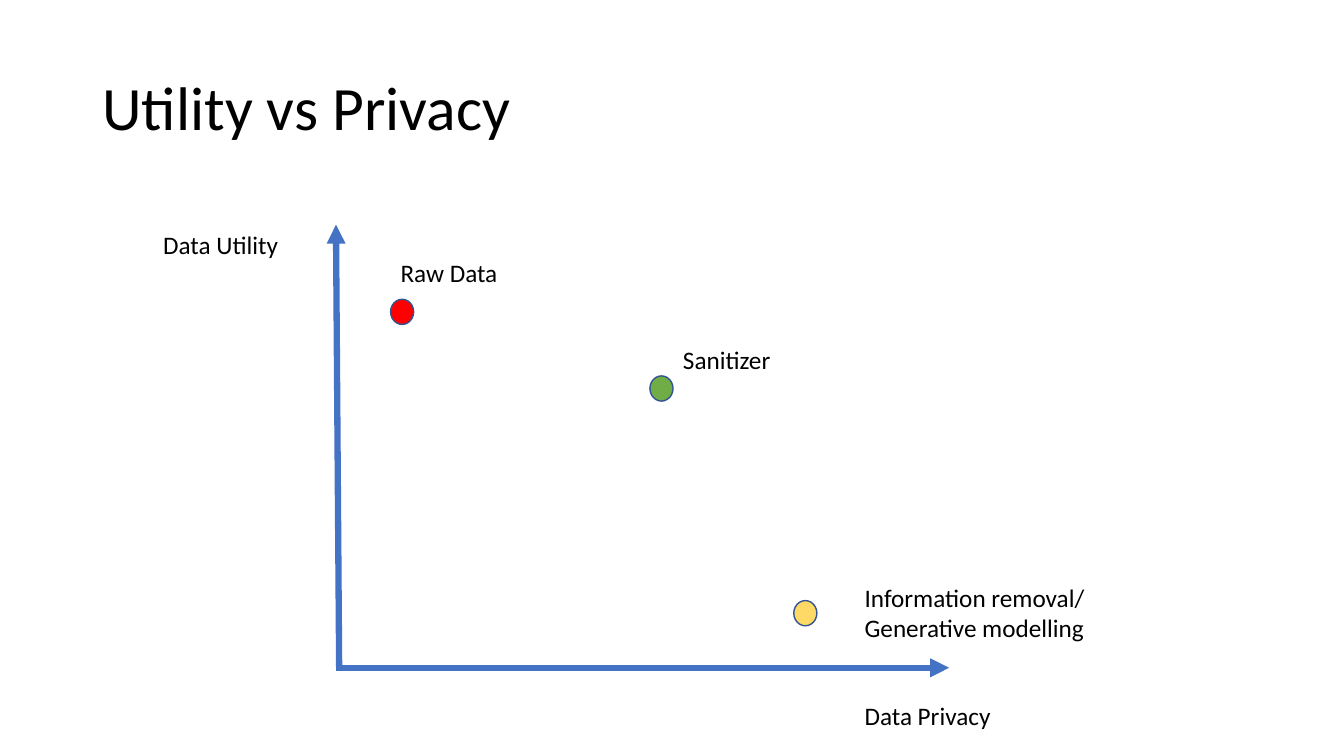
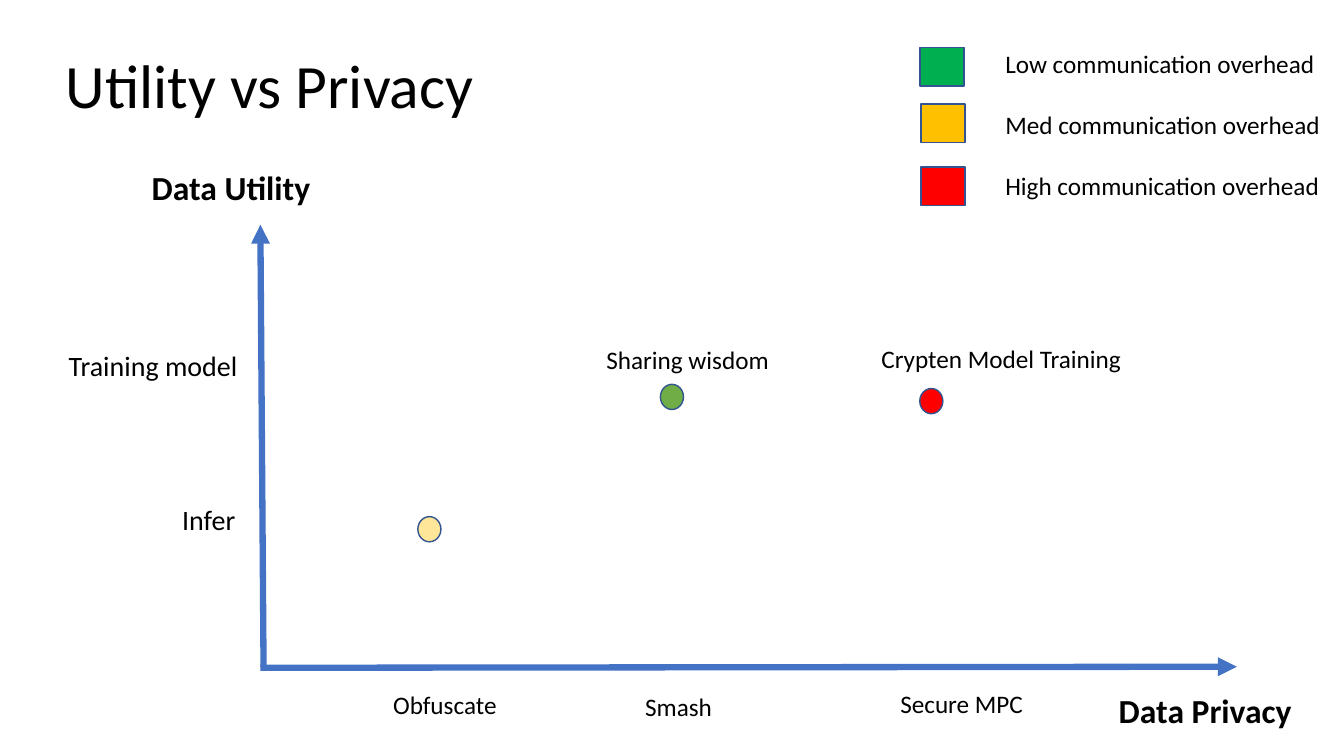
from lxml import etree
from pptx import Presentation
from pptx.dml.color import RGBColor
from pptx.enum.shapes import MSO_CONNECTOR, MSO_SHAPE
from pptx.enum.text import MSO_ANCHOR, PP_ALIGN
from pptx.oxml.ns import qn
from pptx.util import Emu, Pt

PX = 9525  # EMU, 96 px to the inch
STRAIGHT = MSO_CONNECTOR.STRAIGHT
ELLIPSE, RECTANGLE = MSO_SHAPE.OVAL, MSO_SHAPE.RECTANGLE
LEFT, MIDDLE = PP_ALIGN.LEFT, MSO_ANCHOR.MIDDLE

FONT = "Calibri"
BLACK, AXIS_BLUE, OUTLINE = "000000", "4472C4", "325491"
RED, DOT_GREEN = "FF0000", "70AD47"
TITLE_SIZE = (1104, 139)
DOT_SIZE = (22, 24)
SWATCH_SIZE = (42, 37)
LABEL_HEIGHTS = {18: 38, 20: 42, 24: 48}
LEGEND_TEXT_LEFT, LEGEND_TEXT_TOP, LEGEND_PITCH = 948, 41, 58
LEGEND_TEXT_WIDTH = 332

# Axes: start and end points. Dots: left, top, colour.
# Labels: text, left, top, width, point size, bold.
# Legend: swatch left, swatch top, colour, text.
CHARTS = [
    {
        "title_at": (88, 36),
        "axes": [(320, 636, 904, 636), (323, 635, 320, 214)],
        "dots": [
            (619, 358, DOT_GREEN),
            (756, 572, "FFD966"),
            (372, 285, RED),
        ],
        "labels": [
            ("Data Privacy", 814, 662, 258, 18, False),
            ("Data Utility", 146, 214, 178, 18, False),
            ("Sanitizer", 641, 323, 229, 18, False),
            ("Information removal/ Generative modelling", 814, 550, 286, 18, False),
            ("Raw Data", 372, 240, 229, 18, False),
        ],
        "legend": [],
    },
    {
        "title_at": (53, 15),
        "axes": [(248, 636, 1178, 635), (251, 635, 248, 214)],
        "dots": [
            (629, 366, DOT_GREEN),
            (876, 370, RED),
            (398, 492, "FFE699"),
        ],
        "labels": [
            ("Data Privacy", 1056, 652, 203, 24, True),
            ("Data Utility", 135, 154, 229, 24, True),
            ("Sharing wisdom", 568, 323, 229, 18, False),
            ("Crypten Model Training", 830, 322, 286, 18, False),
            ("Infer", 164, 474, 83, 20, False),
            ("Training model", 56, 327, 193, 20, False),
            ("Obfuscate", 365, 652, 144, 18, False),
            ("Secure MPC", 848, 651, 144, 18, False),
            ("Smash", 605, 654, 144, 18, False),
        ],
        "legend": [
            (876, 45, "00B050", "Low communication overhead"),
            (877, 99, "FFC000", "Med communication overhead"),
            (877, 159, RED, "High communication overhead"),
        ],
    },
]


def paint(color_format, color):
    color_format.rgb = RGBColor.from_string(color)


def write(box, text, size, bold=False):
    """Fill a text box or placeholder with one left-aligned paragraph."""
    box.text_frame.word_wrap = True
    para = box.text_frame.paragraphs[0]
    para.text = text
    para.alignment = LEFT
    para.font.name = FONT
    para.font.size = Pt(size)
    para.font.bold = bold
    paint(para.font.color, BLACK)
    return para


deck = Presentation()
deck.slide_width, deck.slide_height = Emu(1280 * PX), Emu(720 * PX)
title_only = deck.slide_layouts.get_by_name("Title Only")

for chart in CHARTS:
    page = deck.slides.add_slide(title_only)

    title = page.shapes.title
    title.left, title.top = (Emu(n * PX) for n in chart["title_at"])
    title.width, title.height = (Emu(n * PX) for n in TITLE_SIZE)
    title.text_frame.vertical_anchor = MIDDLE
    write(title, "Utility vs Privacy", 44).line_spacing = 0.9

    for points in chart["axes"]:
        axis = page.shapes.add_connector(STRAIGHT, *(Emu(n * PX) for n in points))
        axis.line.width = Pt(4.5)
        paint(axis.line.color, AXIS_BLUE)
        etree.SubElement(axis.line._get_or_add_ln(), qn("a:tailEnd"), type="triangle")
        etree.SubElement(axis._element.spPr, qn("a:effectLst"))

    markers = [(ELLIPSE, left, top, *DOT_SIZE, color)
               for left, top, color in chart["dots"]]
    markers += [(RECTANGLE, left, top, *SWATCH_SIZE, color)
                for left, top, color, _ in chart["legend"]]
    for kind, *frame, color in markers:
        marker = page.shapes.add_shape(kind, *(Emu(n * PX) for n in frame))
        marker.shadow.inherit = False
        marker.fill.solid()
        paint(marker.fill.fore_color, color)
        marker.line.width = Pt(1)
        paint(marker.line.color, OUTLINE)

    legend_labels = [
        (text, LEGEND_TEXT_LEFT, LEGEND_TEXT_TOP + row * LEGEND_PITCH,
         LEGEND_TEXT_WIDTH, 18, False)
        for row, (*_, text) in enumerate(chart["legend"])
    ]
    for text, left, top, width, size, bold in chart["labels"] + legend_labels:
        frame = (left, top, width, LABEL_HEIGHTS[size])
        box = page.shapes.add_textbox(*(Emu(n * PX) for n in frame))
        write(box, text, size, bold)

deck.save("out.pptx")
